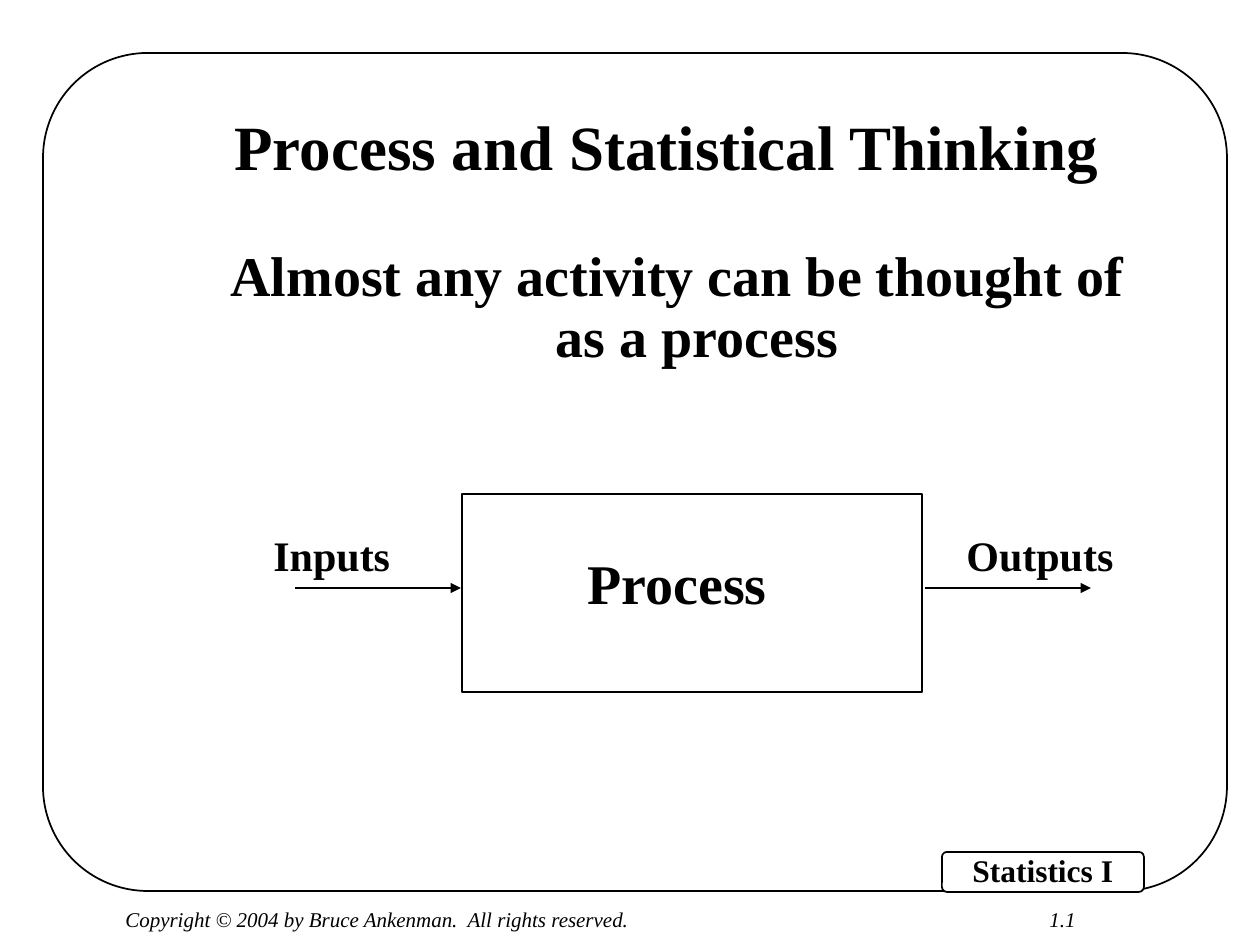
from typing import NamedTuple

from lxml import etree
from pptx import Presentation
from pptx.dml.color import RGBColor
from pptx.enum.shapes import MSO_CONNECTOR, MSO_SHAPE
from pptx.enum.text import MSO_ANCHOR, MSO_AUTO_SIZE, PP_ALIGN
from pptx.oxml.ns import qn
from pptx.util import Emu, Pt

RECT, ROUND = MSO_SHAPE.RECTANGLE, MSO_SHAPE.ROUNDED_RECTANGLE
STRAIGHT = MSO_CONNECTOR.STRAIGHT
TOP, BOTTOM = MSO_ANCHOR.TOP, MSO_ANCHOR.BOTTOM
LEFT, CENTER = PP_ALIGN.LEFT, PP_ALIGN.CENTER
FIT, FIXED = MSO_AUTO_SIZE.SHAPE_TO_FIT_TEXT, MSO_AUTO_SIZE.NONE

SCALE = 914400 // 126
FONT = "Times New Roman"
COLORS = {"ink": "000000", "paper": "FFFFFF"}


class Box(NamedTuple):
    left: int
    top: int
    width: int
    height: int


class Label(NamedTuple):
    text: str
    box: Box
    size: int
    bold: bool = True


class Frame(NamedTuple):
    preset: MSO_SHAPE
    box: Box


class Arrow(NamedTuple):
    start: int
    end: int
    y: int


def px(n: int) -> Emu:
    return Emu(n * SCALE)


def color(name: str) -> RGBColor:
    return RGBColor.from_string(COLORS[name])


def add_text(s, text: str, box: Box, *, size: int, bold: bool = True,
             align=LEFT, anchor=TOP, wrap: bool = False,
             spacing: float = 1.0, hanging: int = 0, before_pct: int = 0) -> None:
    tf = s.shapes.add_textbox(*map(px, box)).text_frame
    tf.word_wrap = wrap
    tf.auto_size = FIXED if wrap else FIT
    tf.vertical_anchor = anchor
    p = tf.paragraphs[0]
    p.alignment = align
    p.line_spacing = spacing
    pPr = p._p.get_or_add_pPr()
    if hanging:
        pPr.set("marL", str(px(hanging)))
        pPr.set("indent", str(-px(hanging)))
    if before_pct:
        before = etree.SubElement(pPr, qn("a:spcBef"))
        etree.SubElement(before, qn("a:spcPct")).set("val", str(before_pct * 1000))
    r = p.add_run()
    r.text = text
    r.font.name = FONT
    r.font.size = Pt(size)
    r.font.bold = bold
    r.font.italic = not bold
    r.font.color.rgb = color("ink")


def add_frame(s, frame: Frame) -> None:
    sp = s.shapes.add_shape(frame.preset, *map(px, frame.box))
    sp.shadow.inherit = False
    if frame.preset == ROUND:
        sp.adjustments[0] = 0.125
    sp.fill.solid()
    sp.fill.fore_color.rgb = color("paper")
    sp.line.color.rgb = color("ink")
    sp.line.width = Pt(1)


def add_arrow(s, arrow: Arrow) -> None:
    y = px(arrow.y)
    cxn = s.shapes.add_connector(STRAIGHT, px(arrow.start), y, px(arrow.end), y)
    cxn.line.color.rgb = color("ink")
    cxn.line.width = Pt(1)
    etree.SubElement(cxn.line._get_or_add_ln(), qn("a:tailEnd")).set("type", "triangle")
    etree.SubElement(cxn._element.spPr, qn("a:effectLst"))


FRAMES = [
    Frame(ROUND, Box(43, 53, 1184, 838)),
    Frame(ROUND, Box(942, 852, 202, 40)),
    Frame(RECT, Box(462, 494, 460, 198)),
]
ARROWS = [Arrow(295, 461, 588), Arrow(925, 1091, 588)]
LABELS = [
    Label("Statistics I", Box(960, 845, 166, 50), 18),
    Label("Copyright © 2004 by Bruce Ankenman.  All rights reserved.",
          Box(113, 900, 532, 38), 12, False),
    Label("1.1", Box(1037, 900, 66, 38), 12, False),
    Label("Process", Box(575, 542, 205, 79), 32),
    Label("Inputs", Box(261, 523, 142, 63), 24),
    Label("Outputs", Box(954, 523, 173, 63), 24),
]

prs = Presentation()
prs.slide_width, prs.slide_height = px(1260), px(945)
s = prs.slides.add_slide(prs.slide_layouts[6])

for frame in FRAMES:
    add_frame(s, frame)
add_text(s, "Process and Statistical Thinking", Box(136, 32, 1061, 158),
         size=36, align=CENTER, anchor=BOTTOM, wrap=True, spacing=0.9)
add_text(s, "Almost any activity can be thought of as a process",
         Box(210, 242, 935, 577), size=32, align=CENTER, wrap=True,
         spacing=0.9, hanging=39, before_pct=30)
for arrow in ARROWS:
    add_arrow(s, arrow)
for label in LABELS:
    add_text(s, label.text, label.box, size=label.size, bold=label.bold)

prs.save("out.pptx")
